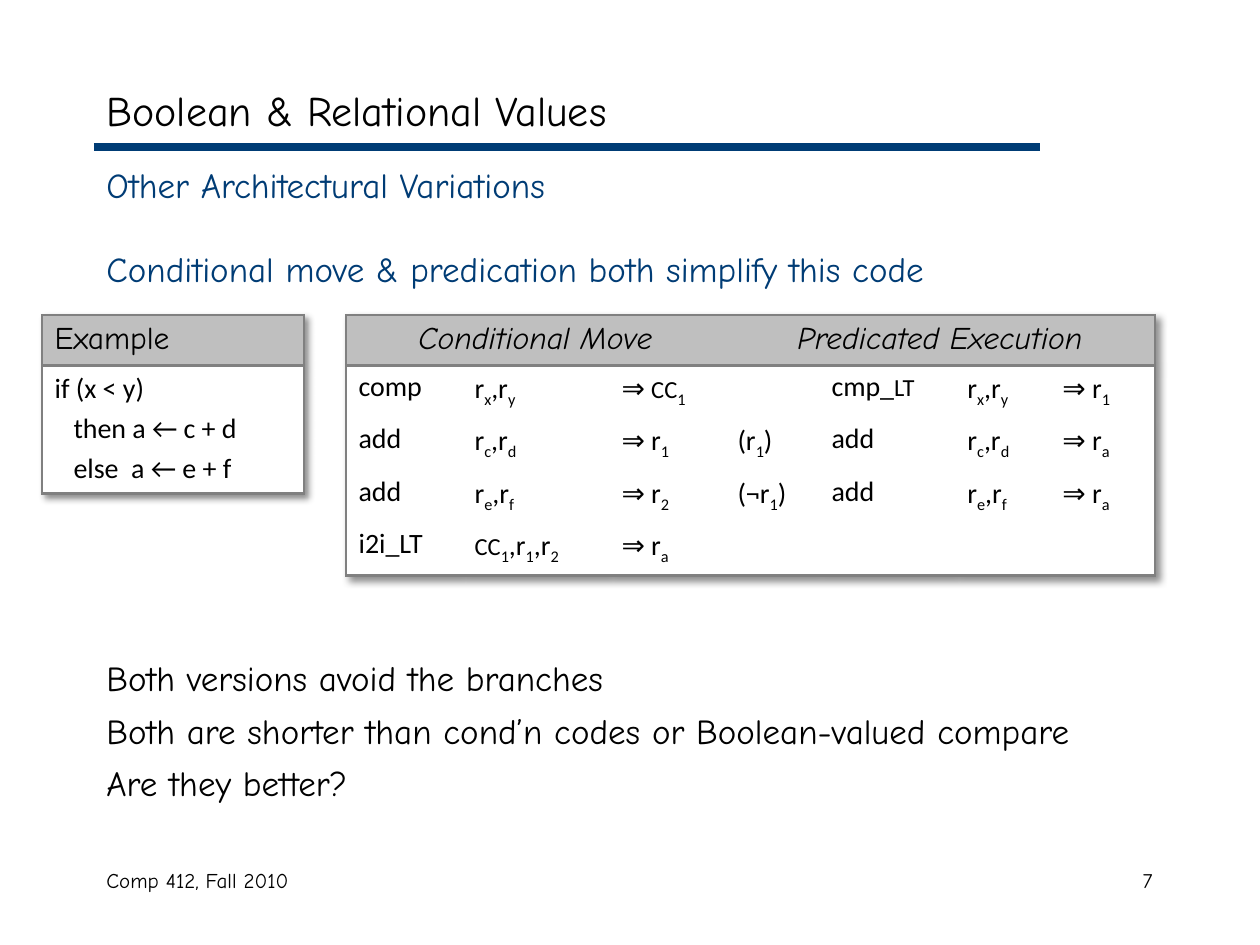
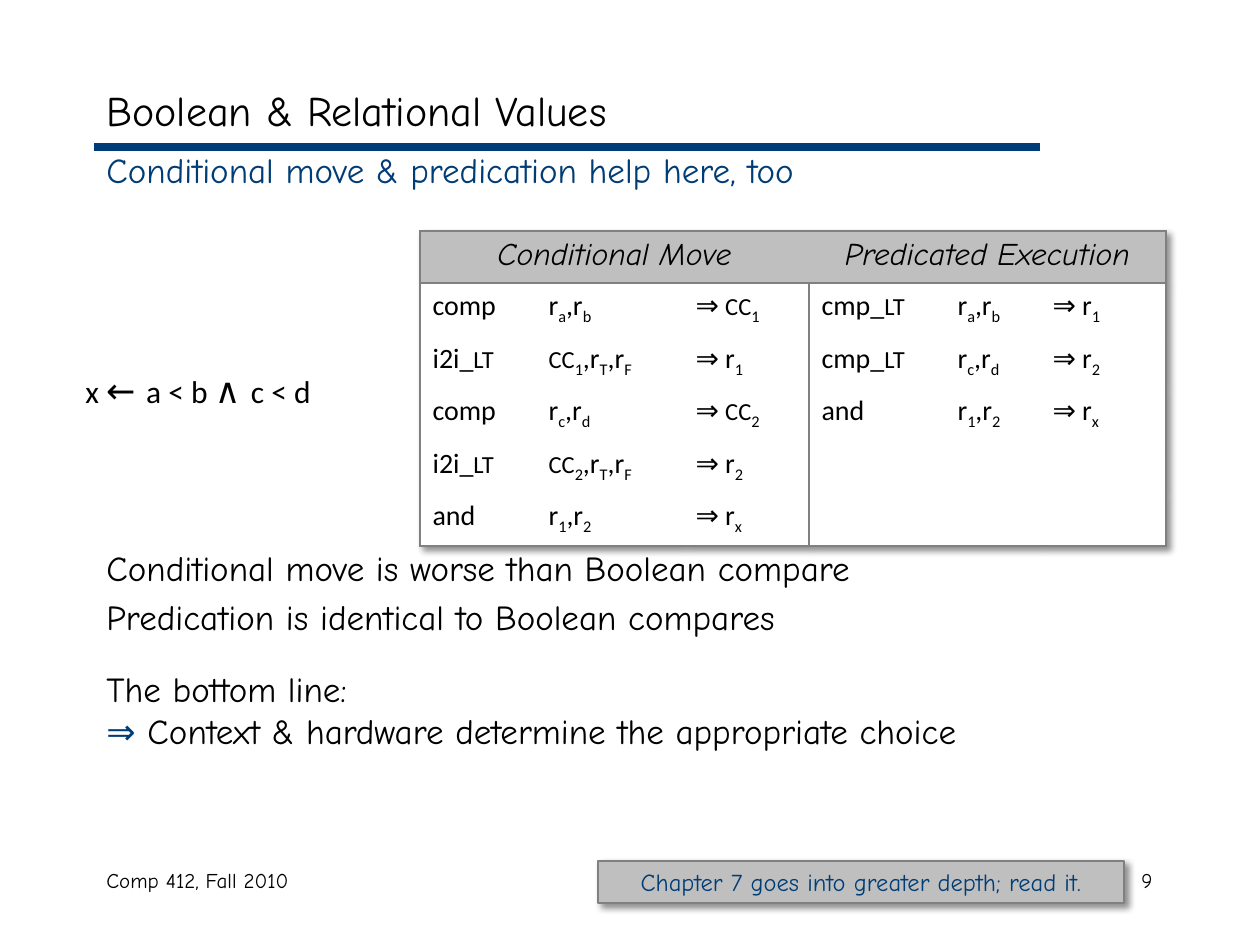
from lxml import etree
from pptx import Presentation
from pptx.dml.color import RGBColor
from pptx.enum.shapes import MSO_CONNECTOR, MSO_SHAPE
from pptx.enum.text import MSO_ANCHOR, PP_ALIGN
from pptx.oxml import parse_xml
from pptx.oxml.ns import qn
from pptx.util import Emu, Pt

RECTANGLE = MSO_SHAPE.RECTANGLE
STRAIGHT = MSO_CONNECTOR.STRAIGHT
TOP, MIDDLE = MSO_ANCHOR.TOP, MSO_ANCHOR.MIDDLE
LEFT, CENTER, RIGHT = PP_ALIGN.LEFT, PP_ALIGN.CENTER, PP_ALIGN.RIGHT

PX = 914400 / 126
COLORS = {"ink": "000000", "navy": "003C75", "paper": "FFFFFF",
          "header": "BFBFBF", "border": "808080"}
HEADING_FONT, CODE_FONT = "Comic Neue", "Calibri"
BORDER_WIDTH = 1.5
NAMESPACE = "http://schemas.openxmlformats.org/drawingml/2006/main"

# Marks inside code text: "~" starts a subscript, "^" small capitals, "|" plain code.
CODE_MARKS = {
    "|": {"font": CODE_FONT, "size": 16},
    "~": {"font": CODE_FONT, "size": 16, "baseline": -25},
    "^": {"font": CODE_FONT, "size": 14},
}


def px(length):
    return Emu(round(length * PX))


def rgb(name):
    return RGBColor.from_string(COLORS[name])


def line(*runs, before=0, spacing=None, align=LEFT):
    """Describe one paragraph; each run is a (text, style) pair."""
    return {"runs": runs, "before": before, "spacing": spacing, "align": align}


def code_line(marked_text, before=0, spacing=None):
    """Turn text with code marks into a paragraph of styled runs."""
    runs, mark, start = [], "|", 0
    for index, character in enumerate(marked_text + "|"):
        if character in CODE_MARKS:
            if index > start:
                runs.append((marked_text[start:index], CODE_MARKS[mark]))
            mark, start = character, index + 1
    return line(*runs, before=before, spacing=spacing)


def header_line(text, italic=True, align=CENTER):
    return line((text, {"size": 18, "italic": italic}), align=align)


class Deck:
    """Holds the presentation, its style and the slide being built."""

    def __init__(self):
        self.presentation = Presentation()
        self.presentation.slide_width = px(1260)
        self.presentation.slide_height = px(945)
        self.slide = None

    def add_slide(self, title, number):
        """Start a slide with the shared title, rule and footer."""
        self.slide = self.presentation.slides.add_slide(
            self.presentation.slide_layouts[6])
        self.rule(94, 147, 1040)
        self.text(94, 861, 399, 63, [line(("Comp 412, Fall 2010", {"size": 12}))])
        self.text(903, 861, 262, 63, [line((number, {"size": 12}), align=RIGHT)])
        self.text(94, 73, 1071, 73, [line((title, {"size": 24}))], MIDDLE)

    def rule(self, left, top, right):
        connector = self.slide.shapes.add_connector(
            STRAIGHT, px(left), px(top), px(right), px(top))
        connector.line.color.rgb = rgb("navy")
        connector.line.width = Pt(4.5)
        etree.SubElement(connector._element.spPr, qn("a:effectLst"))

    def text(self, left, top, width, height, lines, anchor=TOP):
        box = self.slide.shapes.add_textbox(px(left), px(top), px(width), px(height))
        self.fill_text(box.text_frame, lines, anchor)

    def fill_text(self, frame, lines, anchor=TOP):
        frame.word_wrap = True
        frame.vertical_anchor = anchor
        for index, content in enumerate(lines):
            paragraph = frame.add_paragraph() if index else frame.paragraphs[0]
            paragraph.alignment = content["align"]
            paragraph.space_before = Pt(content["before"])
            if content["spacing"]:
                paragraph.line_spacing = content["spacing"]
            for text, style in content["runs"]:
                self.run(paragraph, text, **style)

    def run(self, paragraph, text, size=20, font=HEADING_FONT, color="ink",
            italic=False, baseline=0):
        run = paragraph.add_run()
        run.text = text
        run.font.name = font
        run.font.size = Pt(size)
        run.font.italic = italic
        run.font.color.rgb = rgb(color)
        if baseline:
            run._r.get_or_add_rPr().set("baseline", str(baseline * 1000))

    def shadow(self):
        return parse_xml(
            f'<a:effectLst xmlns:a="{NAMESPACE}"><a:outerShdw blurRad="{Pt(4)}" '
            f'dist="{Pt(3)}" dir="2700000" algn="tl" rotWithShape="0">'
            f'<a:srgbClr val="{COLORS["ink"]}"><a:alpha val="43000"/></a:srgbClr>'
            '</a:outerShdw></a:effectLst>')

    def callout(self, left, top, width, height, text):
        shape = self.slide.shapes.add_shape(
            RECTANGLE, px(left), px(top), px(width), px(height))
        shape.fill.solid()
        shape.fill.fore_color.rgb = rgb("header")
        shape.line.color.rgb = rgb("border")
        shape.line.width = Pt(BORDER_WIDTH)
        shape._element.spPr.append(self.shadow())
        content = line((text, {"size": 14, "color": "navy"}), align=CENTER)
        self.fill_text(shape.text_frame, [content], MIDDLE)

    def table(self, left, top, columns, heights, headers, rows, dividers=()):
        """Draw a shadowed table.

        headers maps a first column to (span, paragraph); rows hold lists of
        paragraphs; dividers are columns with a line on their left below the header.
        """
        last_row, last_column = len(heights) - 1, len(columns) - 1
        frame = self.slide.shapes.add_table(
            len(heights), len(columns), px(left), px(top),
            px(sum(columns)), px(sum(heights)))
        table = frame.table
        table.first_row = table.horz_banding = False
        table._tbl.tblPr.insert(0, self.shadow())
        for column, width in zip(table.columns, columns):
            column.width = px(width)
        for row, height in zip(table.rows, heights):
            row.height = px(height)
        for row in range(len(heights)):
            for column in range(len(columns)):
                cell = table.cell(row, column)
                span = headers[column][0] if row == 0 and column in headers else 1
                end = column + span
                self.borders(cell, {
                    "L": column == 0 or (row > 0 and column in dividers),
                    "R": end > last_column or (row > 0 and end in dividers),
                    "T": row <= 1,
                    "B": row in (0, last_row),
                })
                cell.fill.solid()
                cell.fill.fore_color.rgb = rgb("paper" if row else "header")
                if row:
                    self.fill_text(cell.text_frame, rows[row - 1][column])
        for column, (span, content) in headers.items():
            cell = table.cell(0, column)
            if span > 1:
                cell.merge(table.cell(0, column + span - 1))
            self.fill_text(cell.text_frame, [content])

    def borders(self, cell, sides):
        properties = cell._tc.get_or_add_tcPr()
        for side, drawn in sides.items():
            border = etree.SubElement(properties, qn(f"a:ln{side}"))
            if drawn:
                border.set("w", str(Pt(BORDER_WIDTH)))
                fill = etree.SubElement(border, qn("a:solidFill"))
                etree.SubElement(fill, qn("a:srgbClr"), val=COLORS["border"])
            else:
                etree.SubElement(border, qn("a:noFill"))


def code_rows(rows, spacing=None):
    return [[[code_line(text, spacing=spacing)] for text in row] for row in rows]


def build_variations(deck):
    deck.add_slide("Boolean & Relational Values", "7")
    navy = {"color": "navy"}
    deck.text(94, 157, 1071, 683, [
        line(("Other Architectural Variations", navy)),
        line(("Conditional move & predication both simplify this code", navy),
             before=24),
        line(("Both versions avoid the branches", {}), before=210),
        line(("Both are shorter than cond’n codes or Boolean-valued compare", {}),
             before=6),
        line(("Are they better?", {}), before=6),
    ])
    instructions = [
        ["comp", "r~x|,r~y", "⇒ ^CC~1", "", "cmp_^LT", "r~x|,r~y", "⇒ r~1"],
        ["add", "r~c|,r~d", "⇒ r~1", "(r~1|)", "add", "r~c|,r~d", "⇒ r~a"],
        ["add", "r~e|,r~f", "⇒ r~2", "(¬r~1|)", "add", "r~e|,r~f", "⇒ r~a"],
        ["i2i_LT", "^CC~1|,r~1|,r~2", "⇒ r~a", "", "", "", ""],
    ]
    deck.table(346, 315, [116, 147, 116, 94, 136, 95, 105], [50] + [52, 53] * 2,
               {0: (3, header_line("Conditional Move")),
                3: (4, header_line("Predicated Execution"))},
               code_rows(instructions, spacing=0.9))
    example = [code_line("if (x < y)"),
               code_line("   then a ← c + d", before=3.2),
               code_line("   else  a ← e + f", before=3.2)]
    deck.table(42, 315, [262], [49, 128],
               {0: (1, header_line("Example", italic=False, align=LEFT))},
               [[example]])


def build_comparison(deck):
    deck.add_slide("Boolean & Relational Values", "9")
    navy = {"color": "navy"}
    deck.text(94, 147, 1071, 683, [
        line(("Conditional move & predication help here, too", navy), spacing=0.9),
        line(("Conditional move is worse than Boolean compare", {}),
             before=206, spacing=0.9),
        line(("Predication is identical to Boolean compares", {}),
             before=6, spacing=0.9),
        line(("The bottom line:", {}), before=20, spacing=0.9),
        line(("⇒ ", navy),
             ("Context & hardware determine the appropriate choice", {}),
             before=2, spacing=0.9),
    ])
    operand = {"font": CODE_FONT, "size": 18}
    gap = (" ", {"size": 18})
    deck.text(73, 362, 315, 54, [
        line(("x ", operand), ("←", {}), gap, ("a < b ", operand),
             ("∧", {}), gap, ("c < d", operand)),
    ])
    instructions = [
        ["comp", "r~a|,r~b", "⇒ ^CC~1", "cmp_^LT", "r~a|,r~b", "⇒ r~1"],
        ["i2i_^LT", "^CC~1|,r~T|,r~F", "⇒ r~1", "cmp_^LT", "r~c|,r~d", "⇒ r~2"],
        ["comp", "r~c|,r~d", "⇒ ^CC~2", "and", "r~1|,r~2", "⇒ r~x"],
        ["i2i_^LT", "^CC~2|,r~T|,r~F", "⇒ r~2", "", "", ""],
        ["and", "r~1|,r~2", "⇒ r~x", "", "", ""],
    ]
    deck.table(420, 231, [116, 147, 126, 136, 95, 126], [52, 53] * 3,
               {0: (3, header_line("Conditional Move")),
                3: (3, header_line("Predicated Execution"))},
               code_rows(instructions), dividers=(3,))
    deck.callout(598, 861, 526, 42, "Chapter 7 goes into greater depth; read it.")


def main():
    deck = Deck()
    build_variations(deck)
    build_comparison(deck)
    deck.presentation.save("out.pptx")


if __name__ == "__main__":
    main()
